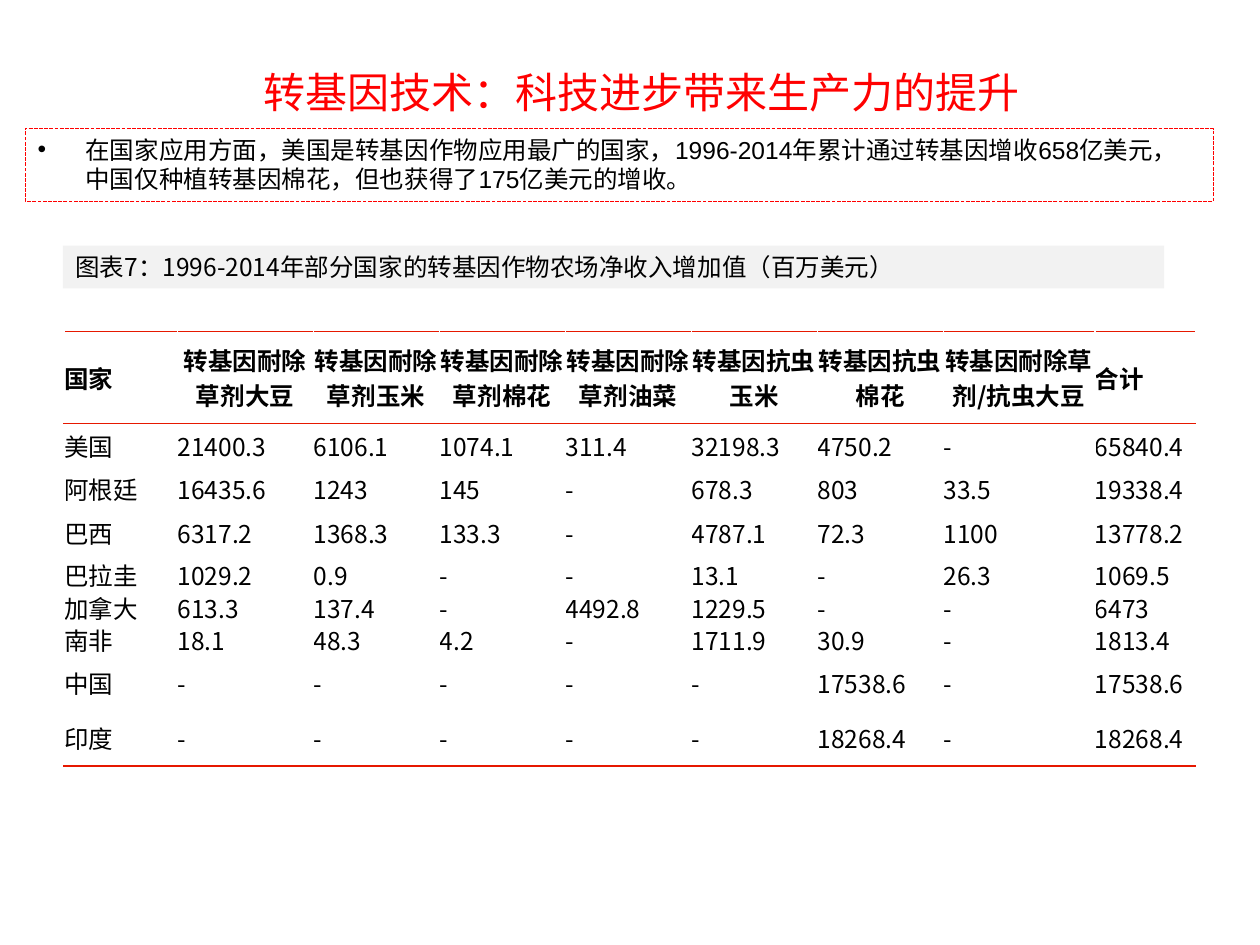
from lxml.etree import SubElement
from pptx import Presentation
from pptx.dml.color import RGBColor
from pptx.enum.dml import MSO_LINE
from pptx.enum.shapes import MSO_SHAPE
from pptx.enum.text import MSO_ANCHOR, MSO_AUTO_SIZE, PP_ALIGN
from pptx.oxml.ns import qn
from pptx.util import Inches, Pt

RED = RGBColor(0xFF, 0x00, 0x00)
RULE_RED = RGBColor(0xE6, 0x18, 0x00)
BLACK = RGBColor(0x00, 0x00, 0x00)
LIGHT_GRAY = RGBColor(0xF2, 0xF2, 0xF2)
ARIAL = "Arial"
NOTO = "Noto Sans CJK SC"

TITLE = "转基因技术：科技进步带来生产力的提升"
SUMMARY = (
    "在国家应用方面，美国是转基因作物应用最广的国家，1996-2014年累计通过转基因增收658亿美元，"
    "中国仅种植转基因棉花，但也获得了175亿美元的增收。"
)
CAPTION = "图表7：1996-2014年部分国家的转基因作物农场净收入增加值（百万美元）"
INCOME = [
    ["国家", "转基因耐除草剂大豆", "转基因耐除草剂玉米", "转基因耐除草剂棉花",
     "转基因耐除草剂油菜", "转基因抗虫玉米", "转基因抗虫棉花",
     "转基因耐除草剂/抗虫大豆", "合计"],
    ["美国", "21400.3", "6106.1", "1074.1", "311.4", "32198.3", "4750.2", "-", "65840.4"],
    ["阿根廷", "16435.6", "1243", "145", "-", "678.3", "803", "33.5", "19338.4"],
    ["巴西", "6317.2", "1368.3", "133.3", "-", "4787.1", "72.3", "1100", "13778.2"],
    ["巴拉圭", "1029.2", "0.9", "-", "-", "13.1", "-", "26.3", "1069.5"],
    ["加拿大", "613.3", "137.4", "-", "4492.8", "1229.5", "-", "-", "6473"],
    ["南非", "18.1", "48.3", "4.2", "-", "1711.9", "30.9", "-", "1813.4"],
    ["中国", "-", "-", "-", "-", "-", "17538.6", "-", "17538.6"],
    ["印度", "-", "-", "-", "-", "-", "18268.4", "-", "18268.4"],
]
COL_WIDTHS = [0.9, 1.08, 1, 1, 1, 1, 1, 1.2, 0.8]
ROW_HEIGHTS = [0.73, 0.36, 0.32, 0.38, 0.26, 0.26, 0.26, 0.44, 0.44]


def set_text(tf, text, size, font, color, align=PP_ALIGN.LEFT, bold=False):
    tf.text = text
    tf.word_wrap = True
    p = tf.paragraphs[0]
    p.alignment = align
    r = p.runs[0]
    r.font.size = Pt(size)
    r.font.name = font
    r.font.bold = bold
    r.font.color.rgb = color
    SubElement(r.font._element, qn("a:ea"), typeface=font)
    return p


def add_box(slide, left, top, width, height):
    sp = slide.shapes.add_shape(
        MSO_SHAPE.RECTANGLE, Inches(left), Inches(top), Inches(width), Inches(height))
    sp.shadow.inherit = False
    sp.fill.background()
    sp.line.fill.background()
    sp.text_frame.vertical_anchor = MSO_ANCHOR.TOP
    return sp


def add_title(slide):
    sp = slide.shapes.add_textbox(Inches(0.78), Inches(0.43), Inches(8.62), Inches(0.6))
    sp.text_frame.vertical_anchor = MSO_ANCHOR.MIDDLE
    set_text(sp.text_frame, TITLE, 24, ARIAL, RED, PP_ALIGN.CENTER)


def add_summary(slide):
    sp = add_box(slide, 0.2, 1.02, 9.43, 0.58)
    sp.line.color.rgb = RED
    sp.line.width = Pt(0.75)
    sp.line.dash_style = MSO_LINE.SQUARE_DOT
    p = set_text(sp.text_frame, SUMMARY, 14, ARIAL, BLACK)
    p.space_before = Pt(2.8)
    p_pr = p._p.get_or_add_pPr()
    p_pr.set("marL", str(Inches(0.38)))
    p_pr.set("indent", str(-Inches(0.38)))
    SubElement(p_pr, qn("a:buFont"), typeface=ARIAL)
    SubElement(p_pr, qn("a:buChar"), char="•")


def add_caption(slide):
    sp = add_box(slide, 0.5, 1.95, 8.74, 0.34)
    sp.fill.solid()
    sp.fill.fore_color.rgb = LIGHT_GRAY
    set_text(sp.text_frame, CAPTION, 14, NOTO, BLACK)
    sp.text_frame.auto_size = MSO_AUTO_SIZE.SHAPE_TO_FIT_TEXT


def add_border(cell, side):
    ln = SubElement(cell._tc.get_or_add_tcPr(), qn(f"a:{side}"), w=str(Pt(1)))
    fill = SubElement(ln, qn("a:solidFill"))
    SubElement(fill, qn("a:srgbClr"), val=str(RULE_RED))


def format_cell(cell, text, align, bold):
    set_text(cell.text_frame, text, 14, NOTO, BLACK, align, bold)
    cell.vertical_anchor = MSO_ANCHOR.MIDDLE
    cell.margin_left = cell.margin_top = cell.margin_bottom = 0
    cell.margin_right = Inches(0.01)


def add_income_table(slide):
    n_rows, n_cols = len(INCOME), len(COL_WIDTHS)
    table = slide.shapes.add_table(
        n_rows, n_cols, Inches(0.51), Inches(2.63),
        Inches(sum(COL_WIDTHS)), Inches(sum(ROW_HEIGHTS))).table
    table.first_row = False
    table.horz_banding = False
    for col, width in zip(table.columns, COL_WIDTHS):
        col.width = Inches(width)
    for row, height in zip(table.rows, ROW_HEIGHTS):
        row.height = Inches(height)
    for i, values in enumerate(INCOME):
        for j, value in enumerate(values):
            cell = table.cell(i, j)
            is_crop = i == 0 and 0 < j < n_cols - 1
            align = PP_ALIGN.CENTER if is_crop else PP_ALIGN.LEFT
            format_cell(cell, value, align, bold=i == 0)
            if i in (0, 1):
                add_border(cell, "lnT")
            if i in (0, n_rows - 1):
                add_border(cell, "lnB")
            cell.fill.background()


def main():
    prs = Presentation()
    prs.slide_width = Inches(10)
    prs.slide_height = Inches(7.5)
    slide = prs.slides.add_slide(prs.slide_layouts[6])
    add_summary(slide)
    add_caption(slide)
    add_title(slide)
    add_income_table(slide)
    prs.save("out.pptx")


if __name__ == "__main__":
    main()
